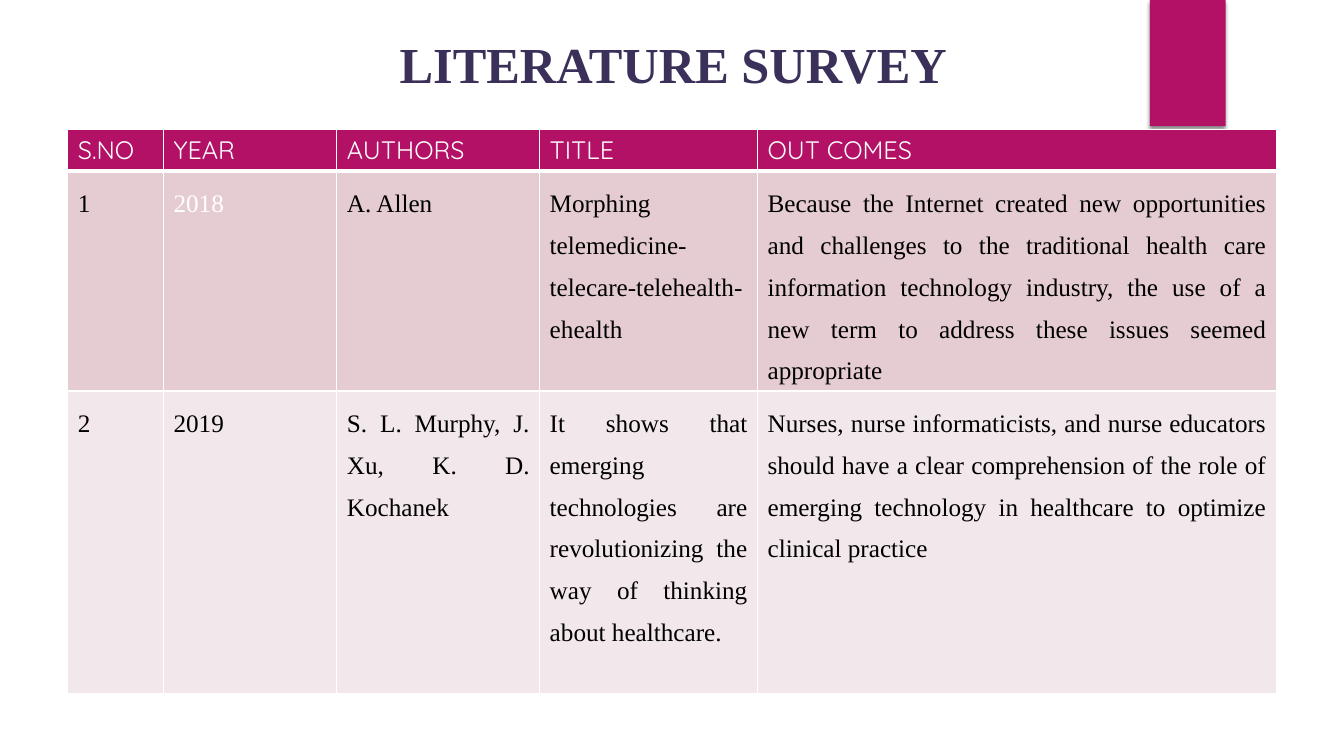
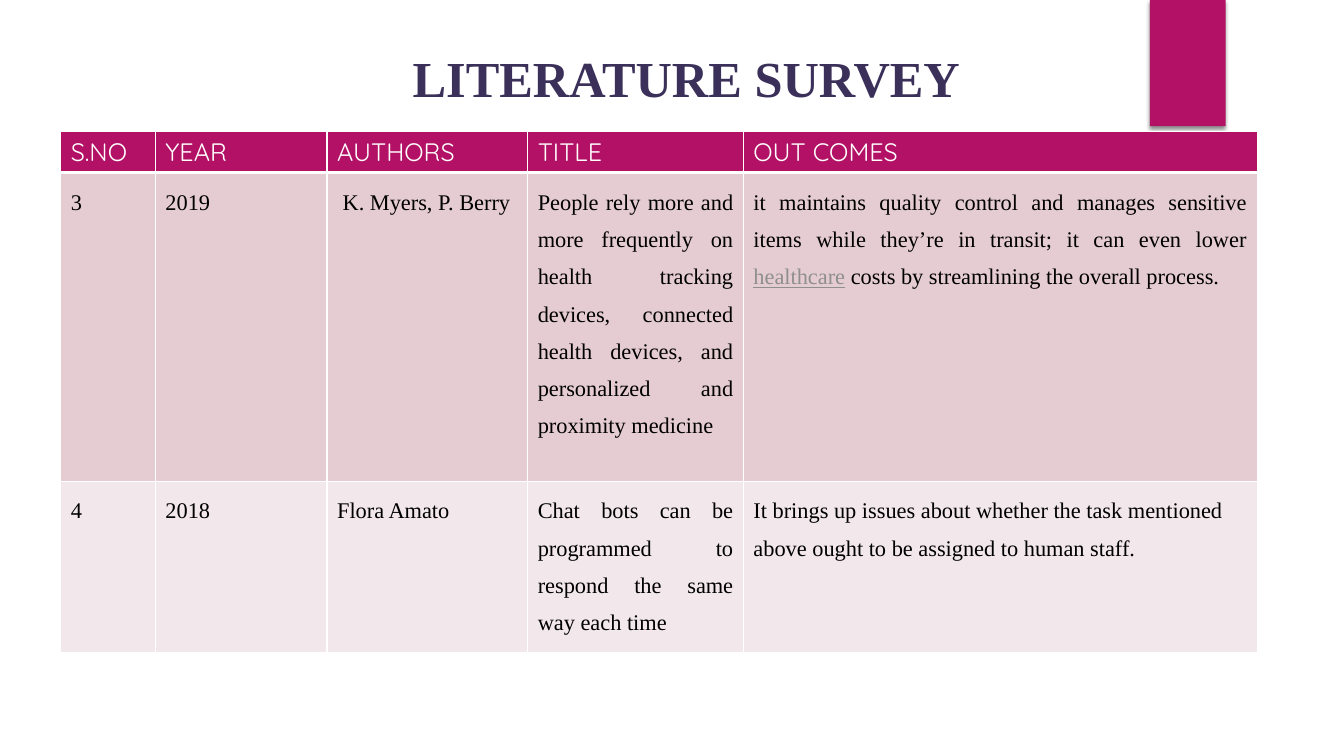
"""Build two literature survey slides, each with a title, a corner band and a table."""
from lxml import etree
from pptx import Presentation
from pptx import util as u
from pptx.dml.color import RGBColor
from pptx.enum import shapes, text
from pptx.oxml import parse_xml
from pptx.oxml.ns import qn

COLORS = {"accent": "B31166", "title": "3B3059", "odd": "E5CCD3", "even": "F2E7EA",
          "white": "FFFFFF", "black": "000000", "link": "8F8F8F"}
SERIF, SANS = "Times New Roman", "Quicksand"
HEADERS = ["S.NO", "YEAR", "AUTHORS", "TITLE", "OUT COMES"]
COL_WIDTHS = [2.41, 4.37, 5.11, 5.49, 13.08]
HEADER_HEIGHT = 1.04
JUSTIFY, LEFT = text.PP_ALIGN.JUSTIFY, text.PP_ALIGN.LEFT
SHADOW = (
    '<a:effectLst xmlns:a="http://schemas.openxmlformats.org/drawingml/2006/main">'
    '<a:outerShdw blurRad="38100" dist="25400" dir="5400000" rotWithShape="0">'
    '<a:srgbClr val="000000"><a:alpha val="45000"/></a:srgbClr>'
    '</a:outerShdw></a:effectLst>')

SLIDES = [
    {"title": (6.3, -0.36), "table": (1.71, 3.26), "scale": 1, "size": 18,
     "heights": [5.54, 7.62],
     "rows": [
         ["1", [("2018", "white")], "A. Allen",
          "Morphing telemedicine-telecare-telehealth-ehealth",
          "Because the Internet created new opportunities and challenges to the traditional "
          "health care information technology industry, the use of a new term to address "
          "these issues seemed appropriate"],
         ["2", "2019", "S. L. Murphy, J. Xu, K. D. Kochanek",
          "It shows that emerging technologies are revolutionizing the way of thinking "
          "about healthcare.",
          "Nurses, nurse informaticists, and nurse educators should have a clear "
          "comprehension of the role of emerging technology in healthcare to optimize "
          "clinical practice"]]},
    {"title": (6.63, 0), "table": (1.53, 3.31), "scale": 0.99, "size": 16,
     "heights": [7.78, 4],
     "rows": [
         ["3", "2019", " K. Myers, P. Berry",
          "People rely more and more frequently on health tracking devices, connected "
          "health devices, and personalized and proximity medicine",
          [("it maintains quality control and manages sensitive items while they’re in "
            "transit; it can even lower ", "black"),
           ("healthcare", "link"),
           (" costs by streamlining the overall process.", "black")]],
         ["4", "2018", "Flora Amato",
          "Chat bots can be programmed to respond the same way each time",
          [("It brings up issues about whether the task mentioned above ought to be "
            "assigned to human staff.", "black")]]],
     "left_aligned": (2, 4)},
]


def add_run(p, content, font, size, color, bold=False):
    r = p.add_run()
    r.text = content
    r.font.name, r.font.size, r.font.bold = font, u.Pt(size), bold
    r.font.color.rgb = RGBColor.from_string(COLORS[color])
    return r


def style_cell(cell, fill, bottom):
    tcPr = cell._tc.get_or_add_tcPr()
    for side, width in (("L", 1), ("R", 1), ("T", 1), ("B", bottom)):
        ln = etree.SubElement(tcPr, qn(f"a:ln{side}"), w=str(u.Pt(width)))
        solid = etree.SubElement(ln, qn("a:solidFill"))
        etree.SubElement(solid, qn("a:srgbClr"), val=COLORS["white"])
    cell.fill.solid()
    cell.fill.fore_color.rgb = RGBColor.from_string(COLORS[fill])


prs = Presentation()
prs.slide_width, prs.slide_height = u.Cm(33.87), u.Cm(19.05)

for data in SLIDES:
    s = prs.slides.add_slide(prs.slide_layouts[6])

    band = s.shapes.add_shape(shapes.MSO_SHAPE.RECTANGLE,
                              u.Cm(28.98), 0, u.Cm(1.91), u.Cm(3.18))
    band.fill.solid()
    band.fill.fore_color.rgb = RGBColor.from_string(COLORS["accent"])
    band.line.fill.background()
    band._element.spPr.append(parse_xml(SHADOW))

    widths = [w * data["scale"] for w in COL_WIDTHS]
    heights = [HEADER_HEIGHT, *data["heights"]]
    left, top = data["table"]
    table = s.shapes.add_table(len(heights), len(widths), u.Cm(left), u.Cm(top),
                               u.Cm(sum(widths)), u.Cm(sum(heights))).table
    for column, width in zip(table.columns, widths):
        column.width = u.Cm(width)
    for row, height in zip(table.rows, heights):
        row.height = u.Cm(height)

    for i, header in enumerate(HEADERS):
        cell = table.cell(0, i)
        style_cell(cell, "accent", 3)
        add_run(cell.text_frame.paragraphs[0], header, SANS, 18, "white")

    for j, values in enumerate(data["rows"], 1):
        for i, value in enumerate(values):
            cell = table.cell(j, i)
            style_cell(cell, "odd" if j % 2 else "even", 1)
            p = cell.text_frame.paragraphs[0]
            p.alignment = LEFT if (j, i) == data.get("left_aligned") else JUSTIFY
            p.line_spacing = 1.5
            runs = [(value, "black")] if isinstance(value, str) else value
            for content, color in runs:
                r = add_run(p, content, SERIF, data["size"], color)
                r.font.underline = color == "link"

    left, top = data["title"]
    sp = s.shapes.add_textbox(u.Cm(left), u.Cm(top), u.Cm(21.34), u.Cm(2.59))
    tf = sp.text_frame
    tf.word_wrap = True
    p = tf.paragraphs[0]
    p.alignment = text.PP_ALIGN.CENTER
    p.line_spacing = 1.7
    add_run(p, "LITERATURE SURVEY", SERIF, 36, "title", bold=True)

prs.save("out.pptx")
